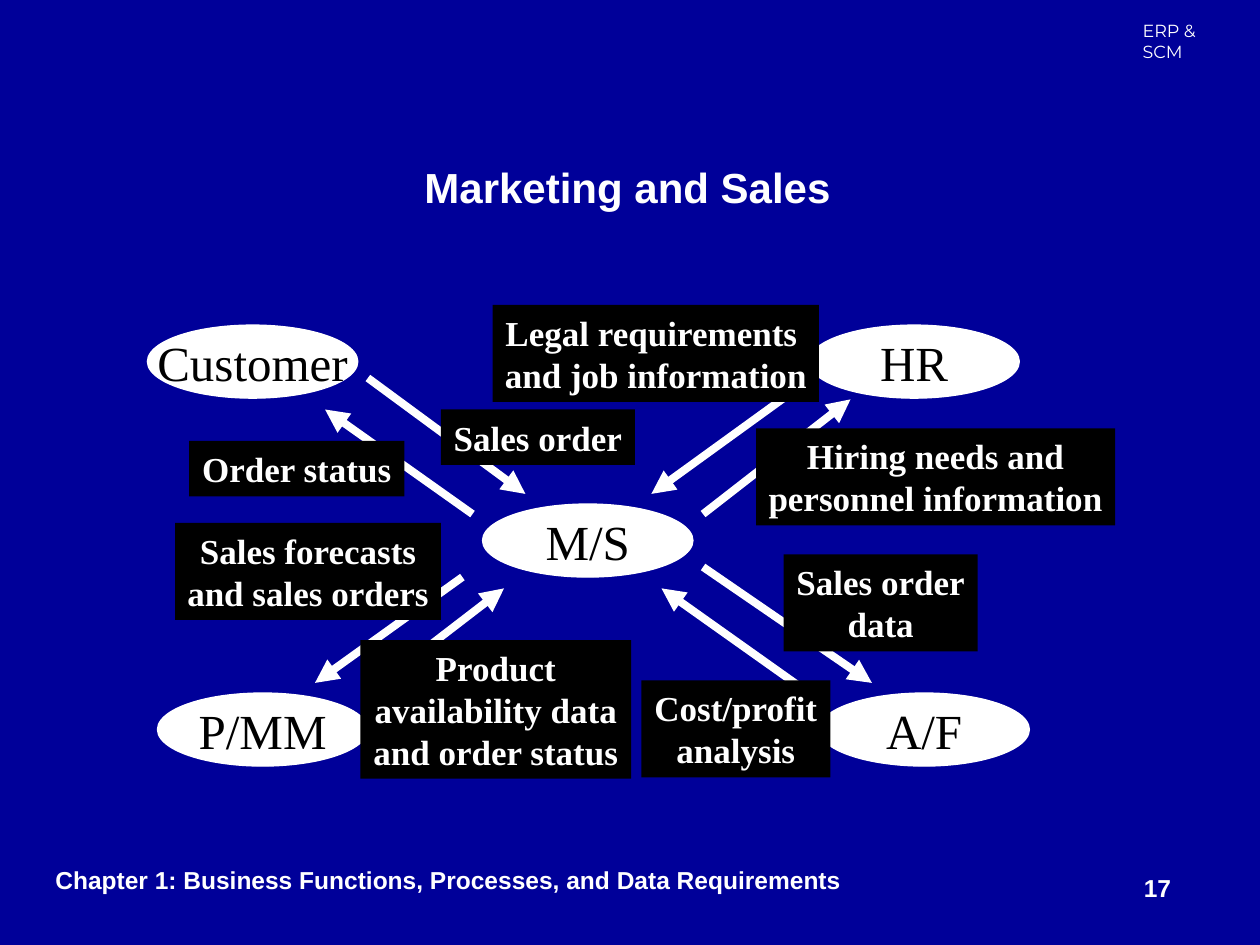
import pptx
import pptx.util
import pptx.dml.color
import pptx.enum.shapes
import pptx.enum.text
import lxml.etree

Inches = pptx.util.Inches
RGBColor = pptx.dml.color.RGBColor
KINDS = pptx.enum.shapes.MSO_SHAPE
ALIGN = pptx.enum.text.PP_ALIGN
ANCHOR = pptx.enum.text.MSO_ANCHOR

NAVY = RGBColor(0x00, 0x00, 0x99)
WHITE = RGBColor(0xFF, 0xFF, 0xFF)
BLACK = RGBColor(0x00, 0x00, 0x00)
SERIF = "Times New Roman"

deck = pptx.Presentation()
deck.slide_width = Inches(10)
deck.slide_height = Inches(7.5)
slide = deck.slides.add_slide(deck.slide_layouts[6])
slide.background.fill.solid()
slide.background.fill.fore_color.rgb = NAVY


def write(shape, text, look, color, align=ALIGN.CENTER, wrap=False, anchor=ANCHOR.MIDDLE):
    frame = shape.text_frame
    frame.text = text
    form = {"word_wrap": wrap, "vertical_anchor": anchor}
    for key, value in form.items():
        setattr(frame, key, value)
    for para in frame.paragraphs:
        para.alignment = align
        para.font.color.rgb = color
        for key, value in look.items():
            setattr(para.font, key, value)


def draw(kind, place, fill):
    shape = slide.shapes.add_shape(kind, *map(Inches, place))
    shape.shadow.inherit = False
    shape.fill.solid()
    shape.fill.fore_color.rgb = fill
    return shape


bold = {"name": "Arial", "size": pptx.util.Pt(14), "bold": True}
head = {"name": "Arial", "size": pptx.util.Pt(24), "bold": True}
mark = {"name": "Montserrat", "size": pptx.util.Pt(10)}
large = {"name": SERIF, "size": pptx.util.Pt(28)}
label = {"name": SERIF, "size": pptx.util.Pt(20), "bold": True}

notes = [
    ("17", (8.98, 6.88, 1.14, 0.34), bold, ALIGN.LEFT, True, ANCHOR.TOP),
    ("Chapter 1: Business Functions, Processes, and Data Requirements",
     (0.34, 6.82, 6.44, 0.34), bold, ALIGN.CENTER, False, ANCHOR.TOP),
    ("ERP & SCM", (8.97, 0.11, 0.91, 0.27), mark, ALIGN.LEFT, True, ANCHOR.TOP),
    ("Marketing and Sales", (3.27, 1.23, 3.42, 0.5), head, ALIGN.CENTER, False, ANCHOR.MIDDLE),
]
for text, place, look, align, wrap, anchor in notes:
    box = slide.shapes.add_textbox(*map(Inches, place))
    write(box, text, look, WHITE, align, wrap, anchor)

units = [
    ("Customer", 1.17, 2.58),
    ("HR", 6.42, 2.58),
    ("P/MM", 1.25, 5.5),
    ("A/F", 6.5, 5.5),
    ("M/S", 3.83, 4),
]
for text, left, top in units:
    oval = draw(KINDS.OVAL, (left, top, 1.67, 0.58), WHITE)
    oval.line.color.rgb = WHITE
    oval.line.width = pptx.util.Pt(0.75)
    write(oval, text, large, BLACK)

flows = [
    (2.92, 3, 4.17, 3.92),
    (5.58, 4.5, 6.92, 5.42),
    (3.75, 4.08, 2.58, 3.25),
    (6.42, 5.5, 5.25, 4.67),
    (6.33, 3.08, 5.17, 3.92),
    (3.67, 4.58, 2.5, 5.42),
    (2.92, 5.5, 4, 4.67),
    (5.58, 4.08, 6.75, 3.17),
]
for ends in flows:
    arrow = slide.shapes.add_connector(
        pptx.enum.shapes.MSO_CONNECTOR.STRAIGHT, *map(Inches, ends))
    arrow.line.color.rgb = WHITE
    arrow.line.width = pptx.util.Pt(4.5)
    tip = lxml.etree.SubElement(arrow.line._get_or_add_ln(), pptx.oxml.ns.qn("a:tailEnd"))
    tip.set("type", "triangle")
    lxml.etree.SubElement(arrow._element.spPr, pptx.oxml.ns.qn("a:effectLst"))

labels = [
    ("Sales order", 3.5, 3.25, 1.54),
    ("Legal requirements \nand job information", 3.91, 2.42, 2.59),
    ("Order status", 1.5, 3.5, 1.71),
    ("Sales forecasts\nand sales orders", 1.39, 4.15, 2.11),
    ("Product\navailability data\nand order status", 2.86, 5.08, 2.15),
    ("Cost/profit\nanalysis", 5.09, 5.4, 1.5),
    ("Sales order\ndata", 6.22, 4.4, 1.54),
    ("Hiring needs and\npersonnel information", 6, 3.4, 2.85),
]
for text, left, top, width in labels:
    high = 0.44 + 0.33 * text.count("\n")
    card = draw(KINDS.RECTANGLE, (left, top, width, high), BLACK)
    card.line.fill.background()
    write(card, text, label, WHITE)

deck.save("out.pptx")
